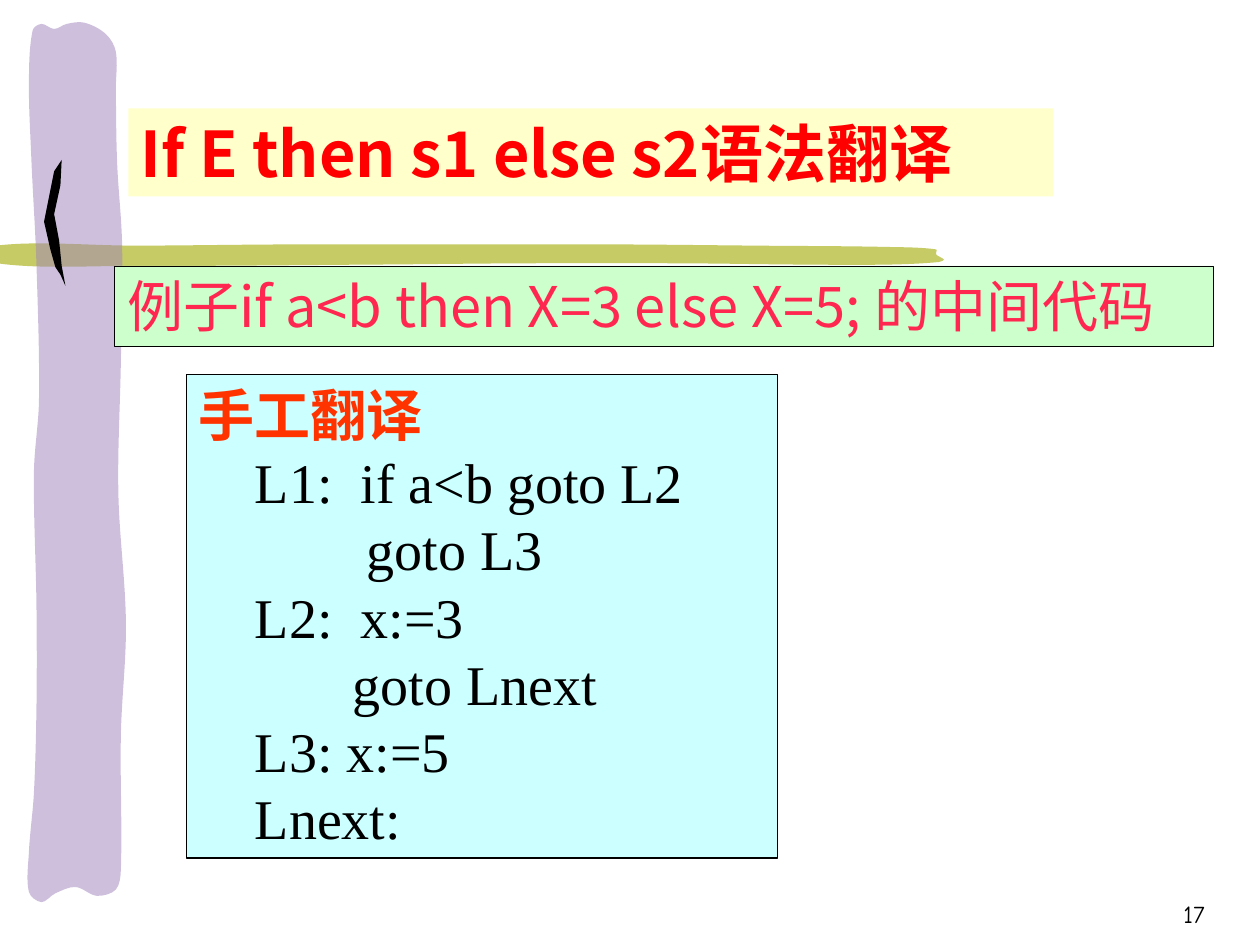
import math

from lxml import etree
from pptx import Presentation
from pptx import util as u
from pptx.dml.color import RGBColor
from pptx.enum import shapes, text
from pptx.oxml import ns

SANS, SERIF, COMIC = "Noto Sans CJK JP", "Times New Roman", "Comic Neue"
LINE_FACTOR = 1.2   # line height as a multiple of the text size
CODE_SIZE = 32
SPACE = CODE_SIZE / 4   # width of one space in the code font, points

# Outline points of the brush strokes, in hundredths of an inch
OLIVE_STROKE = [
    (601, 195), (702, 196), (743, 198), (743, 202), (749, 206), (745, 208),
    (706, 210), (635, 210), (541, 209), (414, 209), (298, 210), (111, 211),
    (-2, 209), (-3, 195), (111, 195), (232, 194), (391, 194), (489, 194)]
PURPLE_STROKE = [
    (29, 561), (29, 481), (27, 375), (31, 317), (29, 210), (25, 127),
    (23, 65), (26, 24), (33, 19), (43, 23), (53, 19), (67, 18), (84, 27),
    (92, 41), (92, 71), (93, 129), (97, 195), (96, 286), (94, 391),
    (100, 495), (96, 583), (96, 690), (92, 706), (77, 711), (60, 704),
    (44, 709), (33, 716), (23, 708), (23, 676), (27, 629)]
BLACK_STROKE = [
    (49, 127), (48, 147), (43, 170), (47, 191), (49, 211), (52, 227),
    (48, 218), (44, 212), (40, 198), (35, 176), (39, 156), (43, 136)]

# Code lines with their indent, counted in spaces
CODE = [(4, "L1:  if a<b goto L2"), (12, "goto L3"), (4, "L2:  x:=3"),
        (11, "goto Lnext"), (4, "L3: x:=5"), (4, "Lnext:")]


def colour(hex_value):
    return RGBColor.from_string(hex_value)


def handles(before, start, end, after):
    """The two Bezier control points between start and end."""
    length = math.dist(start, end)
    lead_in = length / (math.dist(before, start) + length) / 3
    lead_out = length / (length + math.dist(end, after)) / 3
    return (tuple(s + (e - b) * lead_in for b, s, e in zip(before, start, end)),
            tuple(e - (a - s) * lead_out for s, e, a in zip(start, end, after)))


def round_corners(stroke):
    """Turn the straight edges of a closed outline into smooth curves."""
    outline = stroke._element.find(".//" + ns.qn("a:path"))
    points = [(int(pt.get("x")), int(pt.get("y")))
              for pt in outline.iter(ns.qn("a:pt"))]
    count = len(points)
    for edge in outline.findall(ns.qn("a:lnTo")):
        outline.remove(edge)
    for i in range(count):
        before, start, end, after = (points[(i + k) % count] for k in (-1, 0, 1, 2))
        curve = etree.Element(ns.qn("a:cubicBezTo"))
        for x, y in (*handles(before, start, end, after), end):
            etree.SubElement(curve, ns.qn("a:pt"), x=str(round(x)), y=str(round(y)))
        outline.insert(i + 1, curve)


def paint(shape, fill, line=None, line_width=0.75):
    shape.shadow.inherit = False
    shape.fill.solid()
    shape.fill.fore_color.rgb = colour(fill)
    if line:
        shape.line.color.rgb = colour(line)
        shape.line.width = u.Pt(line_width)
    else:
        shape.line.fill.background()


def add_stroke(slide, points, fill, alpha=None, smooth=True):
    builder = slide.shapes.build_freeform(*points[0], scale=u.Inches(0.01))
    builder.add_line_segments(points[1:], close=False)
    stroke = builder.convert_to_shape()
    outline = stroke._element.find(".//" + ns.qn("a:path"))
    if smooth:
        # Lengths of the path in EMU, so that control points stay exact
        outline.set("w", str(int(outline.get("w")) * 1000))
        outline.set("h", str(int(outline.get("h")) * 1000))
        for point in outline.iter(ns.qn("a:pt")):
            for axis in "xy":
                point.set(axis, str(int(point.get(axis)) * 1000))
        round_corners(stroke)
    etree.SubElement(outline, ns.qn("a:close"))
    paint(stroke, fill)
    if alpha:
        fill_colour = stroke._element.spPr.find(".//" + ns.qn("a:srgbClr"))
        etree.SubElement(fill_colour, ns.qn("a:alpha"), val=str(alpha * 1000))


def write(paragraph, words, size, font, hex_value, bold=False, indent=0):
    paragraph.text = words
    paragraph.alignment = text.PP_ALIGN.LEFT
    paragraph.line_spacing = u.Pt(size * LINE_FACTOR)
    if indent:
        properties = paragraph._p.get_or_add_pPr()
        properties.set("marL", str(u.Pt(indent)))
        properties.set("indent", "0")
    for run in paragraph.runs:
        run.font.size = u.Pt(size)
        run.font.name = font
        run.font.bold = bold
        run.font.color.rgb = colour(hex_value)
        etree.SubElement(run.font._element, ns.qn("a:ea"), typeface=font)


def add_panel(slide, left, top, width, height, fill, line=None, line_width=0.75):
    panel = slide.shapes.add_shape(
        shapes.MSO_SHAPE.RECTANGLE,
        *(u.Inches(v) for v in (left, top, width, height)))
    paint(panel, fill, line, line_width)
    frame = panel.text_frame
    frame.word_wrap = True
    frame.vertical_anchor = text.MSO_ANCHOR.TOP
    return frame


def add_page_number(slide, number):
    box = slide.shapes.add_textbox(
        *(u.Inches(v) for v in (7.58, 6.92, 2.08, 0.5)))
    frame = box.text_frame
    frame.word_wrap = True
    frame.vertical_anchor = text.MSO_ANCHOR.BOTTOM
    paragraph = frame.paragraphs[0]
    write(paragraph, number, 14, COMIC, "000000")
    paragraph.alignment = text.PP_ALIGN.RIGHT
    paragraph.line_spacing = 1.0


def main():
    deck = Presentation()
    deck.slide_width, deck.slide_height = u.Inches(10), u.Inches(7.5)
    slide = deck.slides.add_slide(deck.slide_layouts[6])

    # Brush strokes
    add_stroke(slide, OLIVE_STROKE, "C6CB65")
    add_stroke(slide, PURPLE_STROKE, "9F83BD", alpha=50)
    add_stroke(slide, BLACK_STROKE, "000000", smooth=False)

    add_page_number(slide, "17")

    # Hand translation
    translation = add_panel(slide, 1.48, 2.97, 4.69, 3.84, "CCFFFF", "000000")
    write(translation.paragraphs[0], "手工翻译", CODE_SIZE, SANS, "FF3300", bold=True)
    for spaces, words in CODE:
        write(translation.add_paragraph(), words, CODE_SIZE, SERIF, "000000",
              indent=spaces * SPACE)

    # Title
    title = add_panel(slide, 1.02, 0.86, 7.34, 0.7, "FFFFCC")
    write(title.paragraphs[0], "If E then s1 else s2语法翻译", 36, SANS, "FF0000",
          bold=True)

    # Example statement
    example = add_panel(slide, 0.91, 2.11, 8.72, 0.64, "CCFFCC", "000000", 0.25)
    write(example.paragraphs[0], "例子if a<b then X=3 else X=5; 的中间代码", 32, SANS,
          "FF2750")

    deck.save("out.pptx")


if __name__ == "__main__":
    main()
